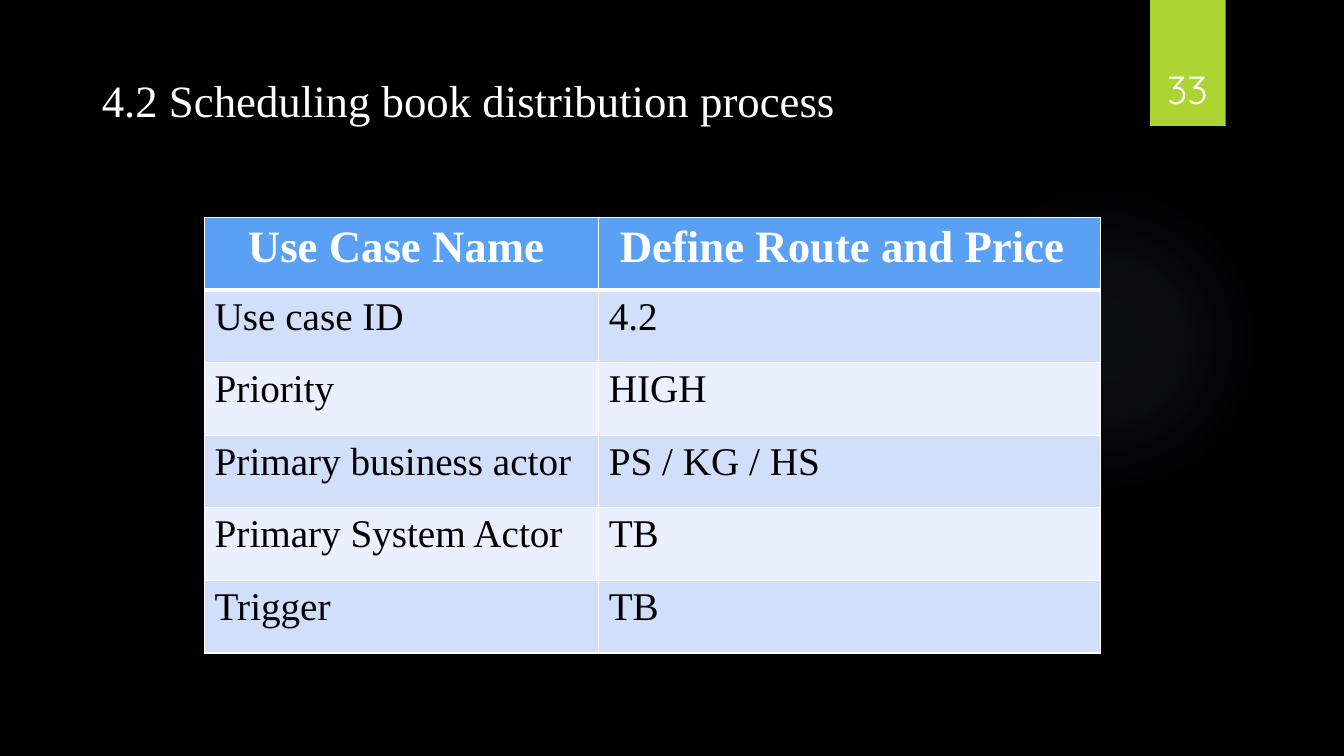
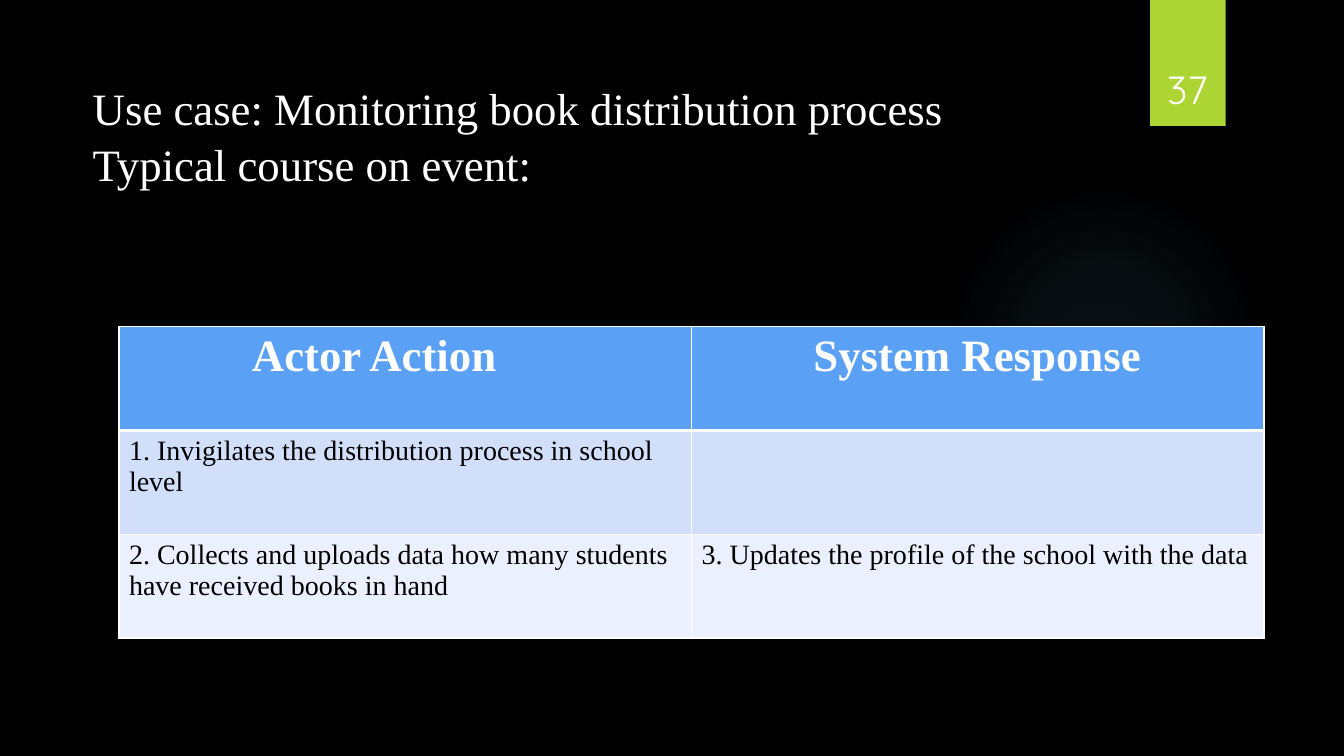
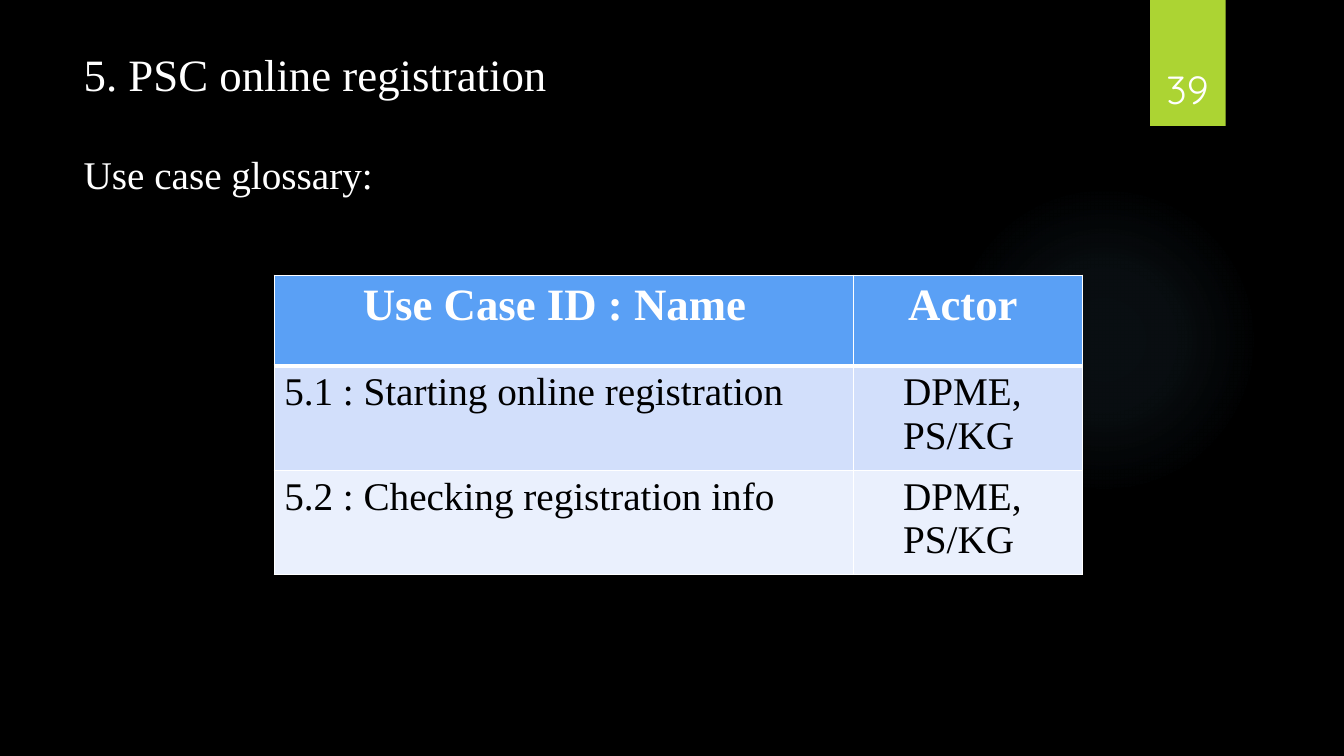
import pptx
import pptx.dml.color
import pptx.enum.shapes
import pptx.enum.text
import pptx.oxml
import pptx.oxml.ns
import pptx.util

PX = 9144  # EMU in one px, 100 px to the inch
TEXT_FONT = "Times New Roman"
NUMBER_FONT = "Quicksand"
WHITE, BLACK = "FFFFFF", "000000"
GREEN, GLOW = "ACD433", "7AC4F0"
HEADER_FILL = "5AA0F5"
BAND_FILLS = ["D2DFFB", "EAF0FD"]
CELL_MARGIN = 10
TITLE_ONLY = 5


def px(length):
    return pptx.util.Emu(length * PX)


def color(value):
    return pptx.dml.color.RGBColor.from_string(value)


def format_font(font, size, value, name=TEXT_FONT, bold=False):
    font.size = pptx.util.Pt(size)
    font.color.rgb = color(value)
    font.name = name
    font.bold = bold


def place(shape, left, top, width, height):
    shape.left, shape.top = px(left), px(top)
    shape.width, shape.height = px(width), px(height)


# Shared backdrop
def add_plain_shape(slide, kind, *box):
    shape = slide.shapes.add_shape(kind, *map(px, box))
    shape.shadow.inherit = False
    shape.line.fill.background()
    return shape


def set_glow(shape):
    stops = "".join(
        f'<a:gs pos="{position * 1000}"><a:srgbClr val="{GLOW}">'
        f'<a:alpha val="{alpha * 1000}"/></a:srgbClr></a:gs>'
        for position, alpha in [(0, 7), (36, 6), (69, 0), (100, 0)])
    gradient = pptx.oxml.parse_xml(
        f'<a:gradFill {pptx.oxml.ns.nsdecls("a")} rotWithShape="1">'
        f'<a:gsLst>{stops}</a:gsLst><a:path path="circle">'
        '<a:fillToRect l="50000" t="50000" r="50000" b="50000"/>'
        '</a:path></a:gradFill>')
    shape.element.spPr.insert(2, gradient)  # after position and geometry


def build_backdrop(slide):
    """Draw the glow and the green tab, then move them to the slide's layout."""
    kinds = pptx.enum.shapes.MSO_SHAPE
    glow = add_plain_shape(slide, kinds.OVAL, 941, 183, 308, 308)
    set_glow(glow)
    tab = add_plain_shape(slide, kinds.RECTANGLE, 1141, 0, 75, 125)
    tab.fill.solid()
    tab.fill.fore_color.rgb = color(GREEN)
    for shape in (glow, tab):
        slide.slide_layout.shapes.element.append(shape.element)


# Slide elements
def set_title(slide, lines, box, sizes, space_before=0):
    title = slide.shapes.title
    place(title, *box)
    frame = title.text_frame
    frame.text = "\n".join(lines)
    frame.word_wrap = True
    frame.auto_size = pptx.enum.text.MSO_AUTO_SIZE.SHAPE_TO_FIT_TEXT
    frame.vertical_anchor = pptx.enum.text.MSO_ANCHOR.TOP
    for index, (paragraph, size) in enumerate(zip(frame.paragraphs, sizes)):
        paragraph.alignment = pptx.enum.text.PP_ALIGN.LEFT
        paragraph.line_spacing = 1.05
        paragraph.space_before = pptx.util.Pt(space_before if index else 0)
        format_font(paragraph.font, size, WHITE)


def add_page_number(slide, number):
    frame = slide.shapes.add_textbox(*map(px, (1132, 32, 92, 84))).text_frame
    frame.text = str(number)
    frame.word_wrap = True
    frame.vertical_anchor = pptx.enum.text.MSO_ANCHOR.BOTTOM
    paragraph = frame.paragraphs[0]
    paragraph.alignment = pptx.enum.text.PP_ALIGN.CENTER
    format_font(paragraph.font, 28, WHITE, NUMBER_FONT)


def set_borders(cell, top, bottom):
    """White borders, widths in points; they stand before the cell's fill."""
    properties = cell._tc.get_or_add_tcPr()
    widths = {"lnL": 1, "lnR": 1, "lnT": top, "lnB": bottom}
    for index, (side, width) in enumerate(widths.items()):
        properties.insert(index, pptx.oxml.parse_xml(
            f'<a:{side} {pptx.oxml.ns.nsdecls("a")} w="{width * 12700}">'
            f'<a:solidFill><a:srgbClr val="{WHITE}"/></a:solidFill></a:{side}>'))


def add_table(slide, left, top, columns, heights, rows, body_size,
              header_indents, body_indents=(0, 0)):
    table = slide.shapes.add_table(
        len(rows), len(columns), px(left), px(top),
        px(sum(columns)), px(sum(heights))).table
    for column, width in zip(table.columns, columns):
        column.width = px(width)
    for row_index, texts in enumerate(rows):
        table.rows[row_index].height = px(heights[row_index])
        header = row_index == 0
        indents = header_indents if header else body_indents
        fill = HEADER_FILL if header else BAND_FILLS[(row_index - 1) % 2]
        for column_index, text in enumerate(texts):
            cell = table.cell(row_index, column_index)
            cell.text = text
            cell.margin_left = px(CELL_MARGIN + indents[column_index])
            cell.fill.solid()
            cell.fill.fore_color.rgb = color(fill)
            set_borders(cell, 3 if row_index == 1 else 1, 3 if header else 1)
            for paragraph in cell.text_frame.paragraphs:
                format_font(paragraph.font, 32 if header else body_size,
                            WHITE if header else BLACK, bold=header)


def main():
    presentation = pptx.Presentation()
    presentation.slide_width, presentation.slide_height = 12192000, px(750)
    background = presentation.slide_master.background.fill
    background.solid()
    background.fore_color.rgb = color(BLACK)

    layout = presentation.slide_layouts[TITLE_ONLY]
    schedule, monitoring, registration = [
        presentation.slides.add_slide(layout) for _ in range(3)]
    build_backdrop(schedule)

    # Scheduling use case
    set_title(schedule, ["4.2 Scheduling book distribution process"],
              (91, 64, 966, 64), [32])
    add_table(schedule, 203, 216, [391, 498], [72] * 6, [
        ["Use Case Name", "Define Route and Price"],
        ["Use case ID", "4.2"],
        ["Priority", "HIGH"],
        ["Primary business actor", "PS / KG / HS"],
        ["Primary System Actor", "TB"],
        ["Trigger", "TB"],
    ], 28, (33, 11))
    add_page_number(schedule, 33)

    # Monitoring course of events
    set_title(monitoring, ["Use case: Monitoring book distribution process",
                           "Typical course on event:"],
              (82, 72, 1030, 118), [32, 32])
    add_table(monitoring, 118, 324, [568, 568], [103] * 3, [
        ["Actor Action", "System Response"],
        ["1. Invigilates the distribution process in school level", ""],
        ["2. Collects and uploads data how many students have received "
         "books in hand",
         "3. Updates the profile of the school with the data"],
    ], 20, (122, 111))
    add_page_number(monitoring, 37)

    # Registration glossary
    actors = "DPME,\nPS/KG"
    set_title(registration, ["5. PSC online registration",
                             "Use case glossary:"],
              (73, 39, 985, 158), [32, 28], space_before=34)
    add_table(registration, 272, 273, [575, 227], [90, 103, 103], [
        ["Use Case ID : Name", "Actor"],
        ["5.1 : Starting online registration", actors],
        ["5.2 : Checking registration info", actors],
    ], 28, (78, 44), (0, 39))
    add_page_number(registration, 39)

    presentation.save("out.pptx")


if __name__ == "__main__":
    main()
